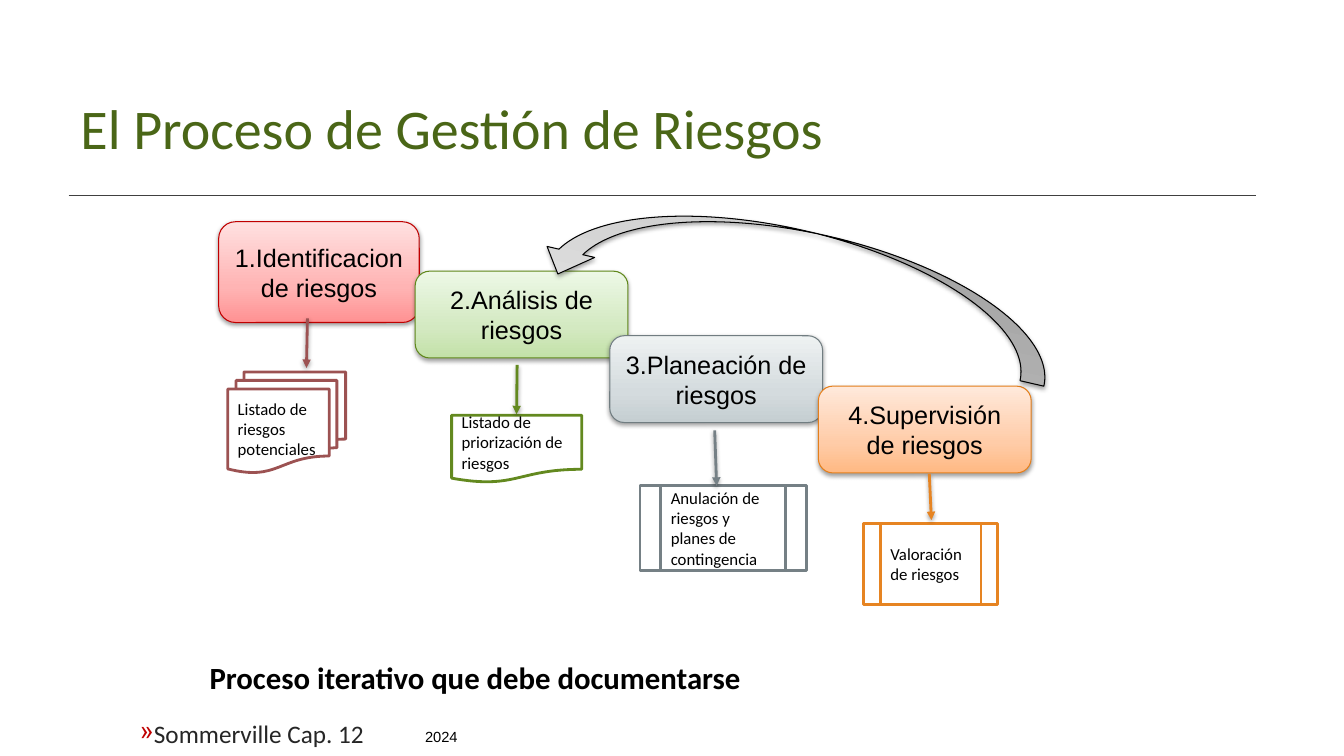
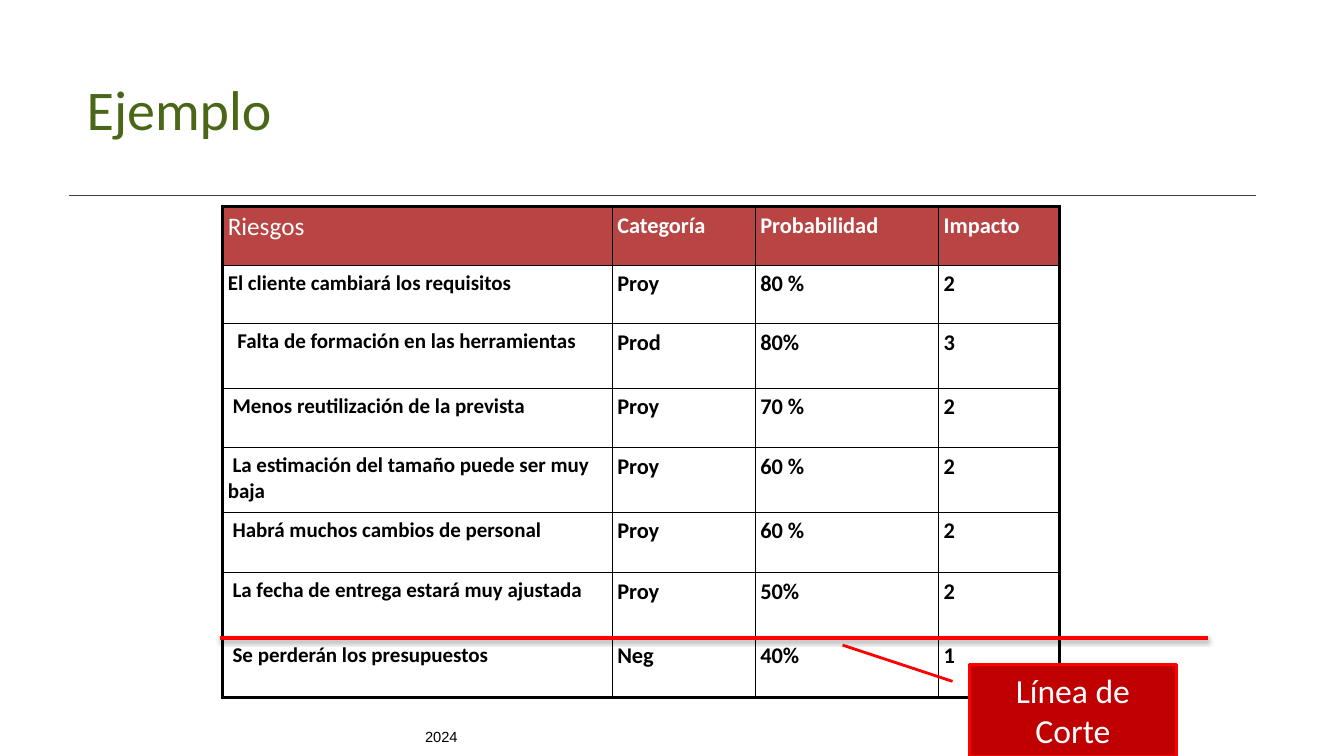
from lxml import etree
from pptx import Presentation
from pptx.dml.color import RGBColor
from pptx.enum.shapes import MSO_CONNECTOR, MSO_SHAPE
from pptx.enum.text import MSO_ANCHOR, PP_ALIGN
from pptx.oxml.ns import qn
from pptx.util import Pt

STRAIGHT = MSO_CONNECTOR.STRAIGHT
ROUNDED = MSO_SHAPE.ROUNDED_RECTANGLE
RECTANGLE = MSO_SHAPE.RECTANGLE
CURVED_ARROW = MSO_SHAPE.CURVED_UP_ARROW
DOCUMENT = MSO_SHAPE.FLOWCHART_DOCUMENT
MULTIDOCUMENT = MSO_SHAPE.FLOWCHART_MULTIDOCUMENT
PREDEFINED = MSO_SHAPE.FLOWCHART_PREDEFINED_PROCESS
TOP, MIDDLE = MSO_ANCHOR.TOP, MSO_ANCHOR.MIDDLE
LEFT, CENTER = PP_ALIGN.LEFT, PP_ALIGN.CENTER

BLACK = RGBColor(0x00, 0x00, 0x00)
WHITE = RGBColor(0xFF, 0xFF, 0xFF)
TITLE_GREEN = RGBColor(0x4A, 0x66, 0x17)
RULE_GRAY = RGBColor(0x40, 0x40, 0x40)
TEXT_GRAY = RGBColor(0x26, 0x26, 0x26)
HEADER_RED = RGBColor(0xB8, 0x44, 0x44)
DARK_RED = RGBColor(0xC0, 0x00, 0x00)
RED = RGBColor(0xFF, 0x00, 0x00)
STEP_RED = RGBColor(0xBF, 0x00, 0x00)
STEP_GREEN = RGBColor(0x60, 0x87, 0x1B)
STEP_GRAY = RGBColor(0x71, 0x7D, 0x81)
STEP_ORANGE = RGBColor(0xE4, 0x7F, 0x1C)
DOC_RED = RGBColor(0x9C, 0x52, 0x52)
DOC_GREEN = RGBColor(0x63, 0x89, 0x1F)
DOC_GRAY = RGBColor(0x75, 0x80, 0x85)
DOC_ORANGE = RGBColor(0xE6, 0x84, 0x22)

HEADING, BODY = "Calibri", "Arial"
GRADIENT_STOPS = (0, 35, 100)
THICK, THIN = 2.21, 0.96

STEPS = [
    {"text": "1.Identificacion de riesgos", "box": (156.2, 158.4, 143.3, 72),
     "line": STEP_RED, "gradient": ("FF9192", "FFB4B4", "FFE0E0"),
     "doc": MULTIDOCUMENT, "doc_box": (162.7, 265.7, 84.2, 72), "doc_line": DOC_RED,
     "doc_text": "Listado de riesgos potenciales",
     "arrow": (219.6, 227.5, 218.9, 262.8)},
    {"text": "2.Análisis de riesgos", "box": (296.6, 193.7, 152, 62),
     "line": STEP_GREEN, "gradient": ("C3E1A8", "D3E9C1", "EDF8E6"),
     "doc": DOCUMENT, "doc_box": (322.6, 296.6, 92.9, 48.2), "doc_line": DOC_GREEN,
     "doc_text": "Listado de priorización de riesgos",
     "arrow": (369.4, 260.6, 369, 295.9)},
    {"text": "3.Planeación de riesgos", "box": (435.6, 239.8, 152, 62),
     "line": STEP_GRAY, "gradient": ("C5CED1", "D4DBDE", "EEF2F2"),
     "doc": PREDEFINED, "doc_box": (457.2, 347, 118.8, 60.5), "doc_line": DOC_GRAY,
     "doc_text": "Anulación de riesgos y\nplanes de\ncontingencia",
     "arrow": (510.5, 307.4, 511.9, 347)},
    {"text": "4.Supervisión de riesgos", "box": (584.6, 275.8, 152, 62),
     "line": STEP_ORANGE, "gradient": ("FFB983", "FFCCA8", "FFE9DB"),
     "doc": PREDEFINED, "doc_box": (617, 373.7, 95.8, 58.3), "doc_line": DOC_ORANGE,
     "doc_text": "Valoración de riesgos",
     "arrow": (663.8, 338.4, 665.3, 371.5)},
]
LOOP_BOX = (384.5, 164.9, 373.7, 69.8)
LOOP_GRADIENT = ("BABABA", "CFCFCF", "EDEDED")

RISKS = [
    ("Riesgos", "Categoría", "Probabilidad", "Impacto"),
    ("El cliente cambiará los requisitos", "Proy", "80 %", "2"),
    ("Falta de formación en las herramientas", "Prod", "80%", "3"),
    ("Menos reutilización de la prevista", "Proy", "70 %", "2"),
    ("La estimación del tamaño puede ser muy baja", "Proy", "60 %", "2"),
    ("Habrá muchos cambios de personal", "Proy", "60 %", "2"),
    ("La fecha de entrega estará muy ajustada", "Proy", "50%", "2"),
    ("Se perderán los presupuestos", "Neg", "40%", "1"),
]
RISK_INDENTS = (0, 0, 6.8, 3.4, 3.4, 3.4, 3.4, 3.4)
COLUMN_WIDTHS = (278.2, 102.2, 131, 86.4)
ROW_HEIGHTS = (41.8, 41.8, 46.1, 42.5, 46.1, 43.2, 46.1, 43.2)


def pts(values):
    return [Pt(v) for v in values]


def write(tf, text, size, color, font=HEADING, bold=False, align=LEFT, anchor=TOP, spacing=None):
    tf.word_wrap = True
    tf.vertical_anchor = anchor
    tf.text = text
    for p in tf.paragraphs:
        p.alignment = align
        if spacing:
            p.line_spacing = spacing
        for r in p.runs:
            r.font.size = Pt(size)
            r.font.name = font
            r.font.bold = bold
            r.font.color.rgb = color


def add_text(s, box, text, size, color, **style):
    sp = s.shapes.add_textbox(*pts(box))
    write(sp.text_frame, text, size, color, **style)
    return sp


def add_shadow(effects):
    shadow = etree.SubElement(effects, qn("a:outerShdw"), blurRad="40000", dist="20000",
                              dir="5400000", rotWithShape="0")
    color = etree.SubElement(shadow, qn("a:srgbClr"), val="000000")
    etree.SubElement(color, qn("a:alpha"), val="37000")


def add_line(s, ends, color, width, arrow=False, shadow=False):
    c = s.shapes.add_connector(STRAIGHT, *pts(ends))
    c.line.color.rgb = color
    c.line.width = Pt(width)
    props = c._element.spPr
    if arrow:
        etree.SubElement(props.find(qn("a:ln")), qn("a:tailEnd"), type="triangle")
    effects = etree.SubElement(props, qn("a:effectLst"))
    if shadow:
        add_shadow(effects)


def add_outlined(s, kind, box, line, width, fill=None):
    sp = s.shapes.add_shape(kind, *pts(box))
    if fill is not None:
        sp.fill.solid()
        sp.fill.fore_color.rgb = fill
    sp.line.color.rgb = line
    sp.line.width = Pt(width)
    sp.shadow.inherit = False
    return sp


def add_gradient_shape(s, kind, box, line, colors):
    sp = add_outlined(s, kind, box, line, 0.75)
    sp.fill.gradient()
    sp.fill.gradient_angle = 90
    props = sp._element.spPr
    stops = props.find(".//" + qn("a:gsLst"))
    for stop in list(stops):
        stops.remove(stop)
    for position, color in zip(GRADIENT_STOPS, colors):
        stop = etree.SubElement(stops, qn("a:gs"), pos=str(position * 1000))
        etree.SubElement(stop, qn("a:srgbClr"), val=color)
    add_shadow(props.find(qn("a:effectLst")))
    return sp


def add_base(prs, title, left, top):
    s = prs.slides.add_slide(prs.slide_layouts[6])
    add_line(s, (49, 139.7, 897, 139.7), RULE_GRAY, 0.75)
    add_text(s, (296.6, 516.2, 64.8, 20.2), "2024", 10.5, BLACK, font=BODY)
    add_text(s, (left, top, 638, 100), title, 40, TITLE_GREEN, anchor=MIDDLE, spacing=0.85)
    return s


def add_bullet(p, mark, color, indent):
    props = p._p.get_or_add_pPr()
    props.set("marL", str(Pt(indent)))
    props.set("indent", str(-Pt(indent)))
    bullet_color = etree.SubElement(props, qn("a:buClr"))
    etree.SubElement(bullet_color, qn("a:srgbClr"), val=str(color))
    etree.SubElement(props, qn("a:buChar"), char=mark)


def set_borders(cell, widths):
    props = cell._tc.get_or_add_tcPr()
    for i, (side, width) in enumerate(zip(("lnL", "lnR", "lnT", "lnB"), widths)):
        ln = etree.Element(qn("a:" + side), w=str(Pt(width)))
        fill = etree.SubElement(ln, qn("a:solidFill"))
        etree.SubElement(fill, qn("a:srgbClr"), val=str(BLACK))
        props.insert(i, ln)


def add_risk_table(s):
    rows, cols = len(RISKS), len(COLUMN_WIDTHS)
    table = s.shapes.add_table(rows, cols, Pt(159.1), Pt(147.6),
                               Pt(sum(COLUMN_WIDTHS)), Pt(sum(ROW_HEIGHTS))).table
    table.first_row = table.horz_banding = False
    for column, width in zip(table.columns, COLUMN_WIDTHS):
        column.width = Pt(width)
    for i, (row, height) in enumerate(zip(table.rows, ROW_HEIGHTS)):
        row.height = Pt(height)
        for j, cell in enumerate(row.cells):
            header = i == 0
            size = 16 if j else 18 if header else 15
            write(cell.text_frame, RISKS[i][j], size, WHITE if header else BLACK,
                  bold=not (header and j == 0))
            cell.margin_left = cell.margin_right = Pt(3.6)
            cell.margin_top = cell.margin_bottom = Pt(3.6)
            if header:
                cell.fill.solid()
                cell.fill.fore_color.rgb = HEADER_RED
            else:
                cell.fill.background()
            edges = (j == 0, j == cols - 1, header, i == rows - 1)
            set_borders(cell, [THICK if edge else THIN for edge in edges])
        first = table.cell(i, 0).text_frame.paragraphs[0]
        first._p.get_or_add_pPr().set("indent", str(Pt(RISK_INDENTS[i])))


def build_process(prs):
    s = add_base(prs, "El Proceso de Gestión de Riesgos", 50.4, 44.6)
    source = add_text(s, (92.9, 512.6, 275, 29.5), "Sommerville Cap. 12", 18, TEXT_GRAY,
                      spacing=0.85)
    add_bullet(source.text_frame.paragraphs[0], "»", DARK_RED, 5.76)
    add_text(s, (142.6, 466.6, 630, 58.3), "Proceso iterativo que debe documentarse",
             22, BLACK, bold=True)
    for step in STEPS:
        sp = add_gradient_shape(s, ROUNDED, step["box"], step["line"], step["gradient"])
        write(sp.text_frame, step["text"], 18, BLACK, font=BODY, align=CENTER, anchor=MIDDLE)
        sp = add_outlined(s, step["doc"], step["doc_box"], step["doc_line"], 2, WHITE)
        write(sp.text_frame, step["doc_text"], 12, BLACK, anchor=MIDDLE)
        add_line(s, step["arrow"], step["doc_line"], 2, arrow=True, shadow=True)
    loop = add_gradient_shape(s, CURVED_ARROW, LOOP_BOX, BLACK, LOOP_GRADIENT)
    loop.rotation = 193


def build_example(prs):
    s = add_base(prs, "Ejemplo", 54.7, 31)
    add_risk_table(s)
    add_line(s, (157, 455.8, 862.6, 455.8), RED, 3, shadow=True)
    add_line(s, (680.4, 486.7, 601.9, 460.8), RED, 2)
    sp = add_outlined(s, RECTANGLE, (692.6, 474.5, 147.6, 65.5), RED, 2, DARK_RED)
    write(sp.text_frame, "Línea de Corte", 24, WHITE, align=CENTER, anchor=MIDDLE)


def main():
    prs = Presentation()
    prs.slide_width, prs.slide_height = Pt(960), Pt(540)
    build_process(prs)
    build_example(prs)
    prs.save("out.pptx")


if __name__ == "__main__":
    main()
